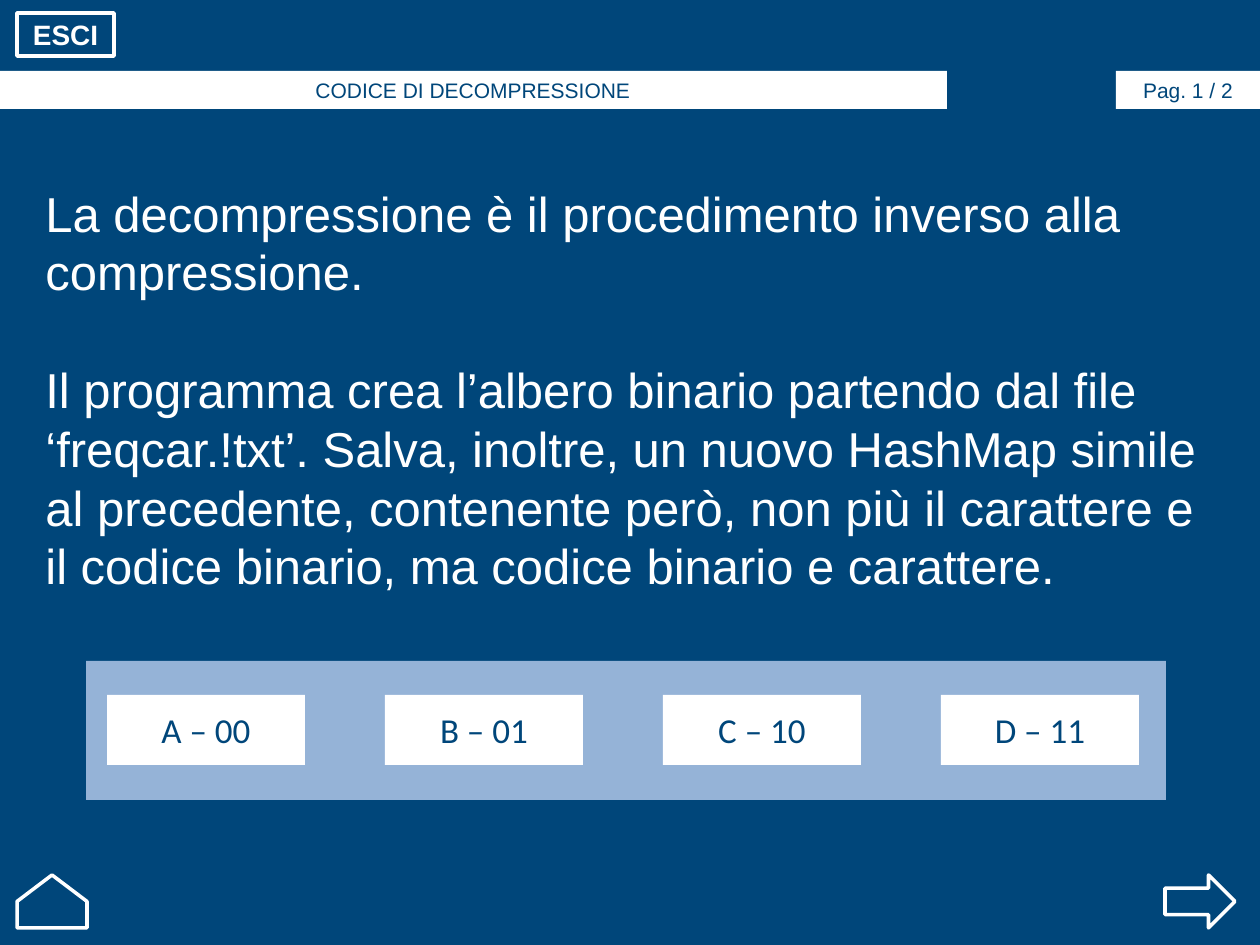
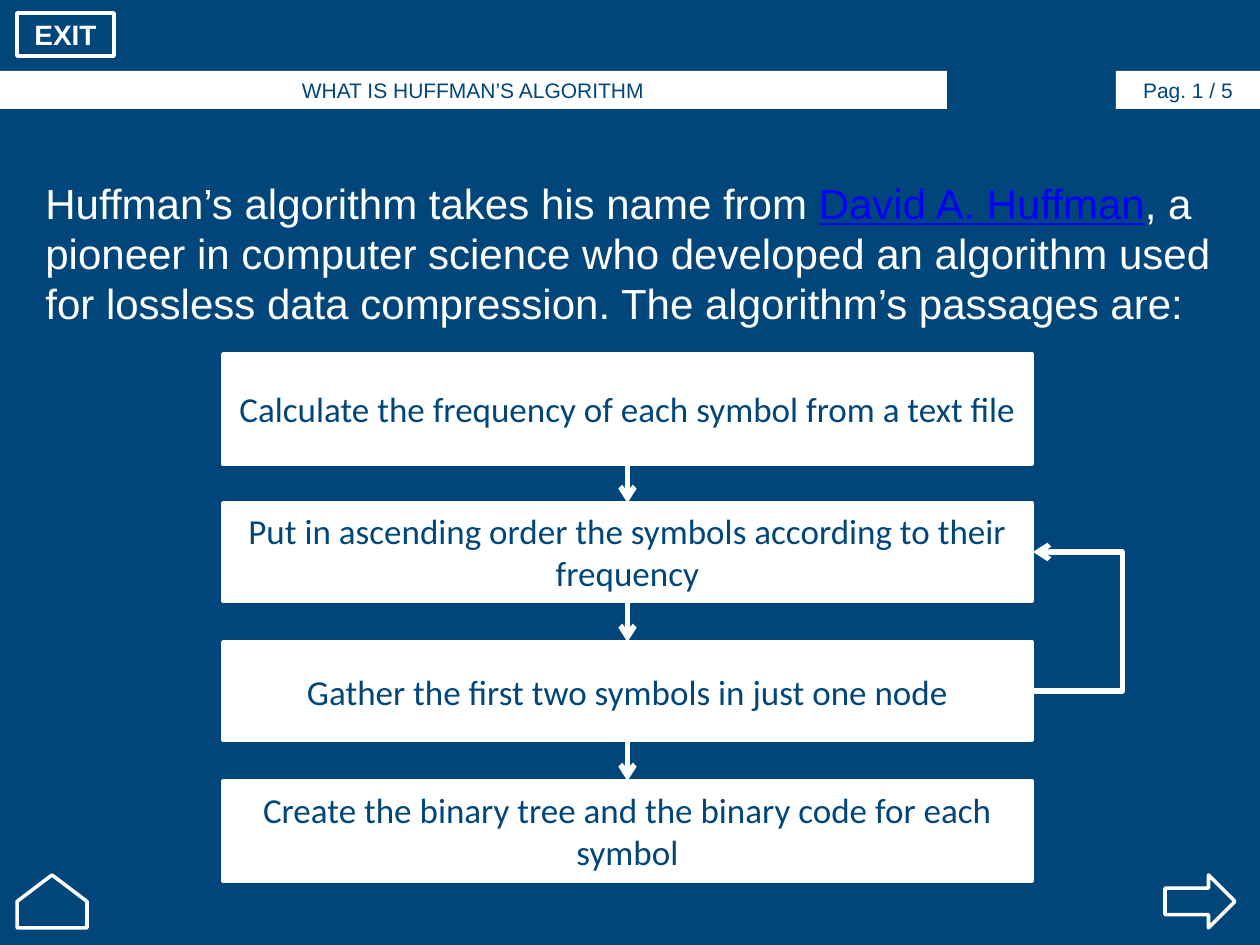
from dataclasses import dataclass
from itertools import pairwise

from lxml.etree import SubElement
from pptx import Presentation
from pptx.dml.color import RGBColor
from pptx.enum.shapes import MSO_CONNECTOR, MSO_SHAPE
from pptx.enum.text import MSO_ANCHOR, PP_ALIGN
from pptx.oxml.ns import qn
from pptx.util import Pt

PX = 914400 / 126  # EMU in one px


@dataclass(frozen=True)
class Theme:
    navy: RGBColor = RGBColor(0x00, 0x46, 0x7A)
    white: RGBColor = RGBColor(0xFF, 0xFF, 0xFF)
    pale_blue: RGBColor = RGBColor(0x95, 0xB3, 0xD7)
    link_blue: RGBColor = RGBColor(0x00, 0x00, 0xFF)
    sans: str = "Arial"
    box_font: str = "Calibri"
    bar_size: int = 12
    button_size: int = 16
    box_size: int = 20
    outline: int = 2
    arrow: int = 3
    leading: float = 1.2


theme = Theme()


def add_span(para, text, font, size, color):
    span = para.add_run()
    span.text = text
    span.font.name = font
    span.font.size = Pt(size)
    span.font.color.rgb = color
    return span


def add_box(page, kind, place, fill, outlined=False, text="",
            font=theme.box_font, size=theme.box_size, color=theme.navy):
    """Add a filled shape at (left, top, width, height) px with centred text."""
    box = page.shapes.add_shape(kind, *(round(value * PX) for value in place))
    box.shadow.inherit = False
    box.fill.solid()
    box.fill.fore_color.rgb = fill
    if outlined:
        box.line.color.rgb = theme.white
        box.line.width = Pt(theme.outline)
    else:
        box.line.fill.background()
    if text:
        frame = box.text_frame
        frame.word_wrap = True
        frame.vertical_anchor = MSO_ANCHOR.MIDDLE
        para = frame.paragraphs[0]
        para.alignment = PP_ALIGN.CENTER
        add_span(para, text, font, size, color)
    return box


deck = Presentation()
deck.slide_width = round(1260 * PX)
deck.slide_height = round(945 * PX)

# Each paragraph is a list of (text, is_link) spans.
contents = [
    ("ESCI", "CODICE DI DECOMPRESSIONE", "Pag. 1 / 2", 28, (33, 177, 1201, 428), [
        [("La decompressione è il procedimento inverso alla compressione.", False)],
        [("Il programma crea l’albero binario partendo dal file ‘freqcar.!txt’. "
          "Salva, inoltre, un nuovo HashMap simile al precedente, contenente però, "
          "non più il carattere e il codice binario, ma codice binario e carattere.",
          False)],
    ]),
    ("EXIT", "WHAT IS HUFFMAN’S ALGORITHM", "Pag. 1 / 5", 24, (33, 171, 1201, 165), [
        [("Huffman’s algorithm takes his name from ", False),
         ("David A. Huffman", True),
         (", a pioneer in computer science who developed an algorithm used for "
          "lossless data compression. The algorithm’s passages are:", False)],
    ]),
]

# Shared frame and body text of every page
pages = []
for exit_label, title, page_label, body_size, body_place, paragraphs in contents:
    page = deck.slides.add_slide(deck.slide_layouts[6])
    pages.append(page)
    page.background.fill.solid()
    page.background.fill.fore_color.rgb = theme.navy

    add_box(page, MSO_SHAPE.RIGHT_ARROW, (1165, 875, 70, 53), theme.navy, True)
    home = add_box(page, MSO_SHAPE.UP_ARROW, (17, 875, 70, 53), theme.navy, True)
    home.adjustments[0] = 1
    home.adjustments[1] = 0.5
    for label, left, width in [(title, -1, 948), (page_label, 1116, 144)]:
        add_box(page, MSO_SHAPE.RECTANGLE, (left, 71, width, 38), theme.white,
                text=label, font=theme.sans, size=theme.bar_size)
    button = add_box(page, MSO_SHAPE.ACTION_BUTTON_CUSTOM, (17, 13, 97, 43),
                     theme.navy, True, exit_label, theme.sans,
                     theme.button_size, theme.white)
    button.text_frame.paragraphs[0].runs[0].font.bold = True

    body = page.shapes.add_textbox(*(round(value * PX) for value in body_place))
    frame = body.text_frame
    frame.word_wrap = True
    for index, spans in enumerate(paragraphs):
        para = frame.add_paragraph() if index else frame.paragraphs[0]
        para.line_spacing = Pt(body_size * theme.leading)
        if index:
            para.space_before = Pt(body_size * theme.leading)
        for text, is_link in spans:
            color = theme.link_blue if is_link else theme.white
            span = add_span(para, text, theme.sans, body_size, color)
            span.font.underline = is_link

code_page, steps_page = pages

# Map of codes and characters
add_box(code_page, MSO_SHAPE.RECTANGLE, (86, 661, 1080, 139), theme.pale_blue)
for index, entry in enumerate(["A – 00", "B – 01", "C – 10", "D – 11"]):
    add_box(code_page, MSO_SHAPE.RECTANGLE, (107 + 278 * index, 695, 198, 70),
            theme.white, text=entry)

# Steps of the algorithm
steps = [
    (354, 110, "Calculate the frequency of each symbol from a text file"),
    (503, 98, "Put in ascending order the symbols according to their frequency"),
    (642, 98, "Gather the first two symbols in just one node"),
    (781, 100, "Create the binary tree and the binary code for each symbol"),
]
step_boxes = [
    add_box(steps_page, MSO_SHAPE.RECTANGLE, (223, top, 809, height),
            theme.white, True, text)
    for top, height, text in steps
]

arrows = []
for upper, lower in pairwise(step_boxes):
    arrow = steps_page.shapes.add_connector(MSO_CONNECTOR.STRAIGHT, 0, 0, 0, 0)
    arrow.begin_connect(upper, 2)
    arrow.end_connect(lower, 0)
    arrows.append(arrow)

# Loop from the third step back to the second, bending 91 px to the right
loop = steps_page.shapes.add_connector(
    MSO_CONNECTOR.ELBOW, *(round(value * PX) for value in (1032, 691, 1033, 552)))
bends = loop._element.spPr.find(qn("a:prstGeom")).get_or_add_avLst()
SubElement(bends, qn("a:gd"), name="adj1", fmla="val 9100000")
arrows.append(loop)

for arrow in arrows:
    arrow.line.color.rgb = theme.white
    arrow.line.width = Pt(theme.arrow)
    SubElement(arrow.line._get_or_add_ln(), qn("a:tailEnd"), type="arrow")
    SubElement(arrow._element.spPr, qn("a:effectLst"))

deck.save("out.pptx")
